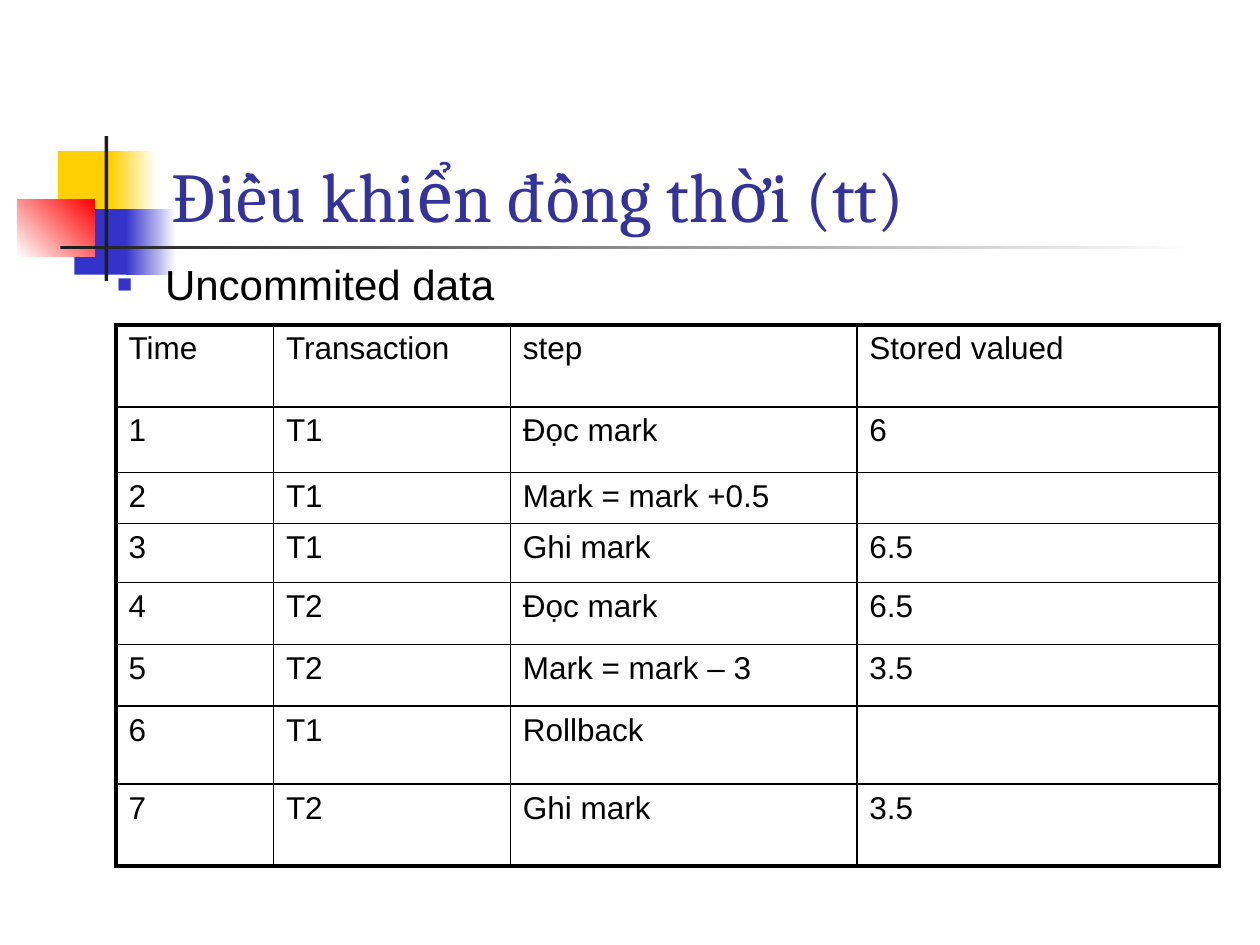
from lxml import etree
from pptx import Presentation
from pptx.dml.color import RGBColor
from pptx.enum.shapes import MSO_SHAPE
from pptx.enum.text import MSO_ANCHOR, PP_ALIGN
from pptx.oxml.ns import qn
from pptx.util import Inches, Pt

RECTANGLE = MSO_SHAPE.RECTANGLE
TOP, BOTTOM = MSO_ANCHOR.TOP, MSO_ANCHOR.BOTTOM
LEFT = PP_ALIGN.LEFT

COLORS = {
    "yellow": "FFCF01",
    "blue": "3333CC",
    "red": "FF0000",
    "bar": "1C1C1C",
    "title": "333399",
    "text": "000000",
    "white": "FFFFFF",
}

ORNAMENTS = [
    ((0.46, 1.2, 0.48, 0.52), ["yellow"], 0),
    ((0.88, 1.2, 0.36, 0.52), ["yellow", "white"], 0),
    ((0.59, 1.66, 0.46, 0.52), ["blue"], 0),
    ((1, 1.66, 0.4, 0.52), ["blue", "white"], 0),
    ((0.14, 1.58, 0.61, 0.46), ["white", "red"], 45),
    ((0.83, 1.08, 0.03, 1.15), ["bar"], 0),
    ((0.48, 1.95, 9, 0.03), ["bar", "white"], 0),
]

COLUMN_WIDTHS = [1.25, 1.88, 2.75, 2.88]
ROW_HEIGHTS = [0.65, 0.52, 0.4, 0.47, 0.49, 0.49, 0.62, 0.65]
SCHEDULE = [
    ["Time", "Transaction", "step", "Stored valued"],
    ["1", "T1", "Đọc mark", "6"],
    ["2", "T1", "Mark = mark +0.5", ""],
    ["3", "T1", "Ghi mark", "6.5"],
    ["4", "T2", "Đọc mark", "6.5"],
    ["5", "T2", "Mark = mark – 3", "3.5"],
    ["6", "T1", "Rollback", ""],
    ["7", "T2", "Ghi mark", "3.5"],
]


def add_xml(parent, tag, **attributes):
    """Append a drawing element to its parent and return it."""
    return etree.SubElement(parent, qn(tag), attributes)


class SlideBuilder:
    """Hold the style and the current slide, and add elements to it."""

    heading_font = "Cambria"
    body_font = "Arial"
    inner_border = 1
    outer_border = 2.25

    def __init__(self, slide):
        """Remember the slide to build."""
        self.slide = slide

    def rgb(self, name):
        """Return a palette colour."""
        return RGBColor.from_string(COLORS[name])

    def style(self, paragraph, font_name, size, color):
        """Format every run of a paragraph."""
        paragraph.alignment = LEFT
        for run in paragraph.runs:
            run.font.name = font_name
            run.font.size = Pt(size)
            run.font.bold = False
            run.font.color.rgb = self.rgb(color)

    def ornament(self, box, colors, angle):
        """Add a rectangle with a plain or a two-colour fill."""
        block = self.slide.shapes.add_shape(RECTANGLE, *map(Inches, box))
        block.shadow.inherit = False
        block.line.fill.background()
        if len(colors) == 1:
            block.fill.solid()
            block.fill.fore_color.rgb = self.rgb(colors[0])
            return
        block.fill.gradient()
        block.fill.gradient_angle = angle
        for stop, color in zip(block.fill.gradient_stops, colors):
            stop.color.rgb = self.rgb(color)

    def placeholder(self, index, box, text, anchor):
        """Move a placeholder to the front, fill it and return its paragraph."""
        holder = self.slide.placeholders[index]
        holder.left, holder.top, holder.width, holder.height = map(Inches, box)
        holder.element.getparent().append(holder.element)
        holder.text_frame.text = text
        holder.text_frame.vertical_anchor = anchor
        return holder.text_frame.paragraphs[0]

    def title(self, text, box):
        """Fill the title."""
        heading = self.placeholder(0, box, text, BOTTOM)
        self.style(heading, self.heading_font, 40, "title")

    def bullet(self, text, box):
        """Fill the body with one square-bulleted line."""
        item = self.placeholder(1, box, text, TOP)
        self.style(item, self.body_font, 24, "text")
        properties = item._p.get_or_add_pPr()
        properties.set("marL", str(Inches(0.38)))
        properties.set("indent", str(-Inches(0.38)))
        bullet_color = add_xml(properties, "a:buClr")
        add_xml(bullet_color, "a:srgbClr", val=COLORS["blue"])
        add_xml(properties, "a:buSzPct", val="60000")
        add_xml(properties, "a:buFont", typeface=self.body_font)
        add_xml(properties, "a:buChar", char="■")

    def border(self, cell, side, is_outer):
        """Draw one side of a cell."""
        width = Pt(self.outer_border if is_outer else self.inner_border)
        line = add_xml(cell._tc.get_or_add_tcPr(), f"a:ln{side}", w=str(width))
        add_xml(add_xml(line, "a:solidFill"), "a:srgbClr", val=COLORS["text"])

    def cell(self, cell, text, outer_sides):
        """Fill and frame one table cell."""
        cell.text_frame.text = text
        paragraph = cell.text_frame.paragraphs[0]
        self.style(paragraph, self.body_font, 18, "text")
        spacing = add_xml(paragraph._p.get_or_add_pPr(), "a:spcBef")
        add_xml(spacing, "a:spcPct", val="20000")
        for side, is_outer in outer_sides.items():
            self.border(cell, side, is_outer)
        cell.fill.background()

    def table(self, rows, left, top, widths, heights):
        """Add a ruled table with a heavier outer frame."""
        size = Inches(sum(widths)), Inches(sum(heights))
        frame = self.slide.shapes.add_table(
            len(rows), len(widths), Inches(left), Inches(top), *size
        )
        table = frame.table
        table.first_row = table.horz_banding = False
        for column, width in zip(table.columns, widths):
            column.width = Inches(width)
        for row, height in zip(table.rows, heights):
            row.height = Inches(height)
        for r, row in enumerate(rows):
            for c, text in enumerate(row):
                outer_sides = {
                    "L": c == 0,
                    "R": c == len(widths) - 1,
                    "T": r == 0,
                    "B": r == len(rows) - 1,
                }
                self.cell(table.cell(r, c), text, outer_sides)


def main():
    """Build and save the slide."""
    presentation = Presentation()
    presentation.slide_width = Inches(10)
    presentation.slide_height = Inches(7.5)
    layout = presentation.slide_layouts[1]
    builder = SlideBuilder(presentation.slides.add_slide(layout))
    for box, colors, angle in ORNAMENTS:
        builder.ornament(box, colors, angle)
    builder.title("Điều khiển đồng thời (tt)", (1.26, 0.68, 8.52, 1.25))
    builder.bullet("Uncommited data", (0.83, 2, 4.17, 4.5))
    builder.table(SCHEDULE, 0.92, 2.58, COLUMN_WIDTHS, ROW_HEIGHTS)
    presentation.save("out.pptx")


if __name__ == "__main__":
    main()
